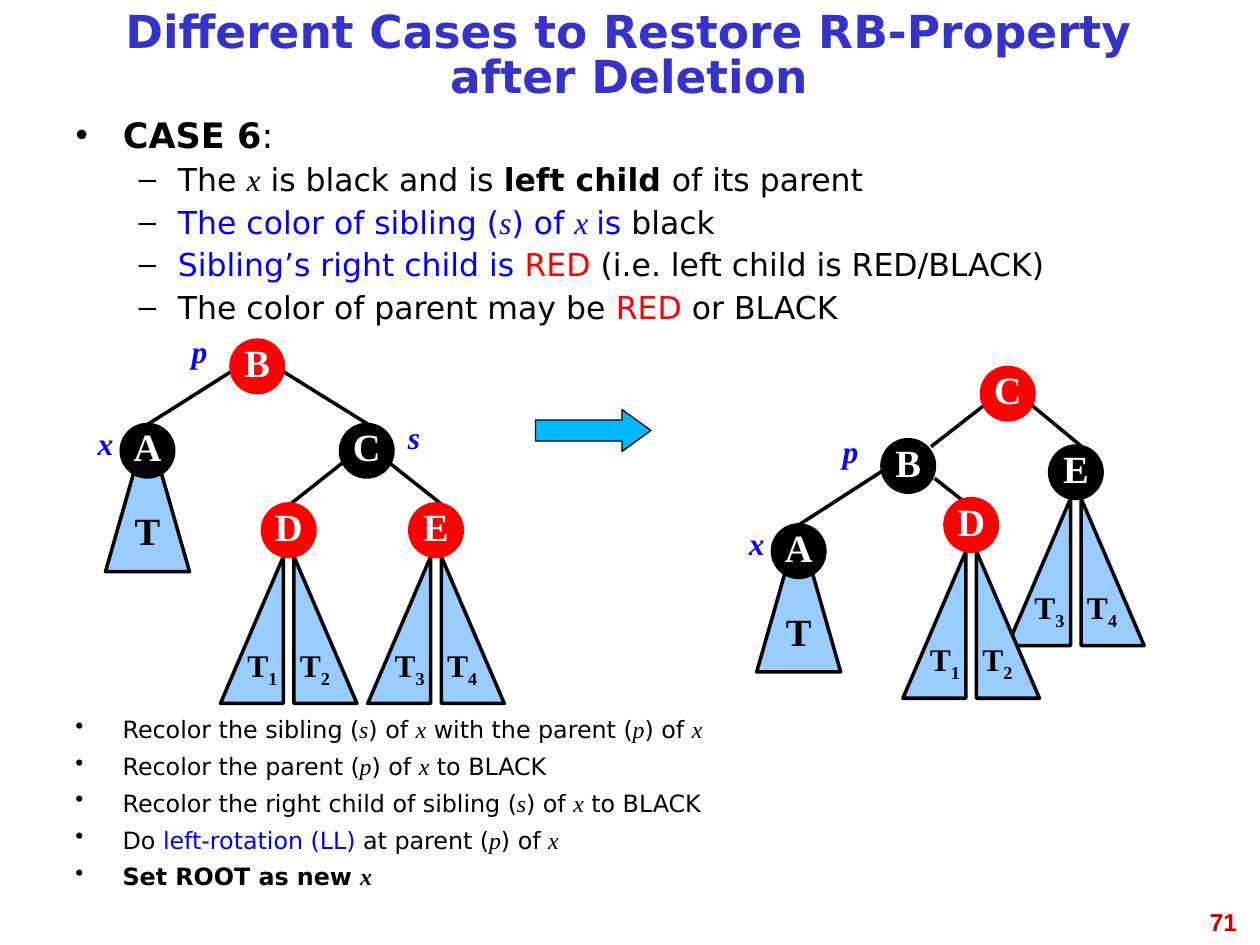
from lxml import etree
from pptx import Presentation
from pptx.dml.color import RGBColor
from pptx.enum import shapes, text
from pptx.oxml import ns
from pptx.util import Pt

BLACK = RGBColor(0x00, 0x00, 0x00)
WHITE = RGBColor(0xFF, 0xFF, 0xFF)
RED = RGBColor(0xFF, 0x00, 0x00)
BLUE = RGBColor(0x00, 0x00, 0xFF)
TITLE_BLUE = RGBColor(0x33, 0x33, 0xCC)
SUBTREE_BLUE = RGBColor(0x99, 0xCC, 0xFF)
ARROW_BLUE = RGBColor(0x00, 0xB8, 0xFF)
NUMBER_RED = RGBColor(0xCC, 0x00, 0x00)
SANS, SERIF = "DejaVu Sans", "Times New Roman"
NODE = 30  # node diameter
SHAPE = shapes.MSO_SHAPE

# Each paragraph is (level, size, runs); a run is (words, marks):
# b bold, i italic serif variable, B blue, R red
CASE = [
    (0, 20, [("CASE 6", "b"), (":", "")]),
    (1, 18, [("The ", ""), ("x", "i"), (" is black and is ", ""),
             ("left child ", "b"), ("of its parent", "")]),
    (1, 18, [("The color of sibling (", "B"), ("s", "iB"), (") of ", "B"),
             ("x ", "iB"), ("is ", "B"), ("black", "")]),
    (1, 18, [("Sibling’s right child is ", "B"), ("RED ", "R"),
             ("(i.e. left child is RED/BLACK)", "")]),
    (1, 18, [("The color of parent may be ", ""), ("RED", "R"),
             (" or BLACK", "")]),
]
STEPS = [(0, 13.6, runs) for runs in (
    [("Recolor the sibling (", ""), ("s", "i"), (") of ", ""), ("x", "i"),
     (" with the parent (", ""), ("p", "i"), (") of ", ""), ("x", "i")],
    [("Recolor the parent (", ""), ("p", "i"), (") of ", ""), ("x", "i"),
     (" to BLACK", "")],
    [("Recolor the right child of sibling (", ""), ("s", "i"), (") of ", ""),
     ("x", "i"), (" to BLACK", "")],
    [("Do ", ""), ("left-rotation (LL)", "B"), (" at parent (", ""),
     ("p", "i"), (") of ", ""), ("x", "i")],
    [("Set ROOT as new ", "b"), ("x", "bi")],
)]

# Node positions are relative to the tree's box; edge ends to their nodes
BEFORE = {
    "nodes": {"B": (90, 8.4, RED), "C": (152.6, 56.6, BLACK),
              "A": (27.3, 56.6, BLACK), "D": (108, 102, RED),
              "E": (192.2, 102, RED)},
    "edges": [("B", (0, 18), "A", (15, 0)), ("B", (30, 18), "C", (16, 0)),
              ("C", (1, 22), "D", (16, 0)), ("C", (28, 22), "E", (18, 0))],
    "pairs": [("E", "34"), ("D", "12")],
    "labels": [("p", "B", -36, -8), ("s", "C", 24, -7), ("x", "A", -27, -4)],
}
AFTER = {
    "nodes": {"C": (146.9, 0, RED), "B": (90, 41.3, BLACK),
              "A": (27.4, 90, BLACK), "E": (185.8, 44.9, BLACK),
              "D": (126, 75, RED)},
    "edges": [("B", (0, 18), "A", (15, 0)), ("C", (1, 22), "B", (28, 4)),
              ("C", (28, 21), "E", (18, 0)), ("B", (30, 22), "D", (24, 12))],
    "pairs": [("E", "34"), ("D", "12")],
    "labels": [("p", "B", -36, -8), ("x", "A", -27, -4)],
}


def place(shape, left, top, width, height):
    shape.left, shape.top = Pt(left), Pt(top)
    shape.width, shape.height = Pt(width), Pt(height)


def style_font(font, size, color, name=SERIF, bold=True, italic=False):
    font.size, font.name, font.bold, font.italic = Pt(size), name, bold, italic
    font.color.rgb = color


def add_label(slide, words, left, top, width, height, size, color, name=SERIF,
              italic=False, align=text.PP_ALIGN.CENTER):
    frame = slide.shapes.add_textbox(Pt(left), Pt(top), Pt(width), Pt(height)).text_frame
    frame.word_wrap = True
    paragraph = frame.paragraphs[0]
    paragraph.text, paragraph.alignment = words, align
    style_font(paragraph.font, size, color, name, italic=italic)


def add_filled(slide, kind, left, top, width, height, fill, line, weight=2):
    shape = slide.shapes.add_shape(kind, Pt(left), Pt(top), Pt(width), Pt(height))
    shape.shadow.inherit = False
    shape.fill.solid()
    shape.fill.fore_color.rgb = fill
    shape.line.color.rgb = line
    shape.line.width = Pt(weight)
    return shape


def write_inside(shape, words, size, color, subscript=""):
    frame = shape.text_frame
    frame.word_wrap = False
    frame.vertical_anchor = text.MSO_ANCHOR.MIDDLE
    paragraph = frame.paragraphs[0]
    paragraph.alignment, paragraph.line_spacing = text.PP_ALIGN.CENTER, 0.81
    paragraph.add_run().text = words
    if subscript:
        run = paragraph.add_run()
        run.text = subscript
        run.font.element.set("baseline", "-25000") if hasattr(run.font, "element") \
            else run._r.get_or_add_rPr().set("baseline", "-25000")
    style_font(paragraph.font, size, color)


def fill_title(title, left, top, width, height):
    place(title, left, top, width, height)
    frame = title.text_frame
    frame.auto_size = text.MSO_AUTO_SIZE.NONE
    frame.vertical_anchor = text.MSO_ANCHOR.MIDDLE
    paragraph = frame.paragraphs[0]
    paragraph.text = "Different Cases to Restore RB-Property after Deletion"
    paragraph.alignment, paragraph.line_spacing = text.PP_ALIGN.CENTER, 0.81
    style_font(paragraph.font, 26, TITLE_BLUE, SANS)


def fill_list(shape, items, left, top, width, height):
    place(shape, left, top, width, height)
    frame = shape.text_frame
    frame.word_wrap = True
    frame.auto_size = text.MSO_AUTO_SIZE.NONE
    for index, (level, size, runs) in enumerate(items):
        paragraph = frame.add_paragraph() if index else frame.paragraphs[0]
        paragraph.level = level
        paragraph.alignment = text.PP_ALIGN.JUSTIFY
        paragraph.line_spacing = 0.8
        paragraph.space_before = Pt((8, 7)[level] if index else 0)
        margin, indent, bullet = ((27, -27, "•"), (58.5, -22.5, "–"))[level]
        properties = paragraph._p.get_or_add_pPr()
        properties.set("marL", str(Pt(margin)))
        properties.set("indent", str(Pt(indent)))
        color = etree.SubElement(properties, ns.qn("a:buClr"))
        etree.SubElement(color, ns.qn("a:srgbClr"), val=str(BLACK))
        etree.SubElement(properties, ns.qn("a:buChar"), char=bullet)
        paragraph.font.size = Pt(size)
        for words, marks in runs:
            run = paragraph.add_run()
            run.text = words
            style_font(run.font, size,
                       BLUE if "B" in marks else RED if "R" in marks else BLACK,
                       SERIF if "i" in marks else SANS, "b" in marks, "i" in marks)


def add_tree(slide, tree, left, top):
    spots = {name: (left + x, top + y) for name, (x, y, _) in tree["nodes"].items()}
    # Split subtrees hanging under a node
    for name, digits in tree["pairs"]:
        x, y = spots[name]
        for digit, offset in zip(digits, (-24, 18)):
            half = add_filled(slide, SHAPE.RIGHT_TRIANGLE, x + offset, y + NODE,
                              36, 84, SUBTREE_BLUE, BLACK)
            if offset < 0:
                half.element.spPr.xfrm.set("flipH", "1")
            write_inside(half, "T", 18, BLACK, digit)
    # Edges
    for parent, start, child, end in tree["edges"]:
        (x1, y1), (x2, y2) = spots[parent], spots[child]
        edge = slide.shapes.add_connector(
            shapes.MSO_CONNECTOR.STRAIGHT, Pt(x1 + start[0]), Pt(y1 + start[1]),
            Pt(x2 + end[0]), Pt(y2 + end[1]))
        edge.line.color.rgb, edge.line.width = BLACK, Pt(2)
        etree.SubElement(edge.element.spPr, ns.qn("a:effectLst"))
    # Whole subtree behind A
    x, y = spots["A"]
    subtree = add_filled(slide, SHAPE.ISOSCELES_TRIANGLE, x - 9, y, 48, 84,
                         SUBTREE_BLUE, BLACK)
    write_inside(subtree, "T", 22, BLACK)
    # Nodes and their role labels
    for name, (_, _, color) in tree["nodes"].items():
        node = add_filled(slide, SHAPE.OVAL, *spots[name], NODE, NODE, color, color)
        write_inside(node, name, 22, WHITE)
    for words, name, dx, dy in tree["labels"]:
        x, y = spots[name]
        add_label(slide, words, x + dx, y + dy, 36, 29, 18, BLUE, italic=True)


def main():
    presentation = Presentation()
    presentation.slide_width, presentation.slide_height = Pt(720), Pt(540)
    slide = presentation.slides.add_slide(presentation.slide_layouts[1])
    fill_title(slide.shapes.title, 36, 6, 647, 54)
    fill_list(slide.placeholders[1], CASE, 36, 66, 647, 138)
    add_tree(slide, BEFORE, 42, 186)
    arrow = add_filled(slide, SHAPE.RIGHT_ARROW, 306, 234, 66, 24, ARROW_BLUE, BLACK, 0.75)
    arrow.adjustments[1] = 0.69
    add_tree(slide, AFTER, 414, 210)
    fill_list(slide.shapes.add_textbox(0, 0, 0, 0), STEPS, 36, 408, 647, 120)
    add_label(slide, "71", 546, 515, 168, 37, 14, NUMBER_RED, "Arial",
              align=text.PP_ALIGN.RIGHT)
    presentation.save("out.pptx")


if __name__ == "__main__":
    main()
